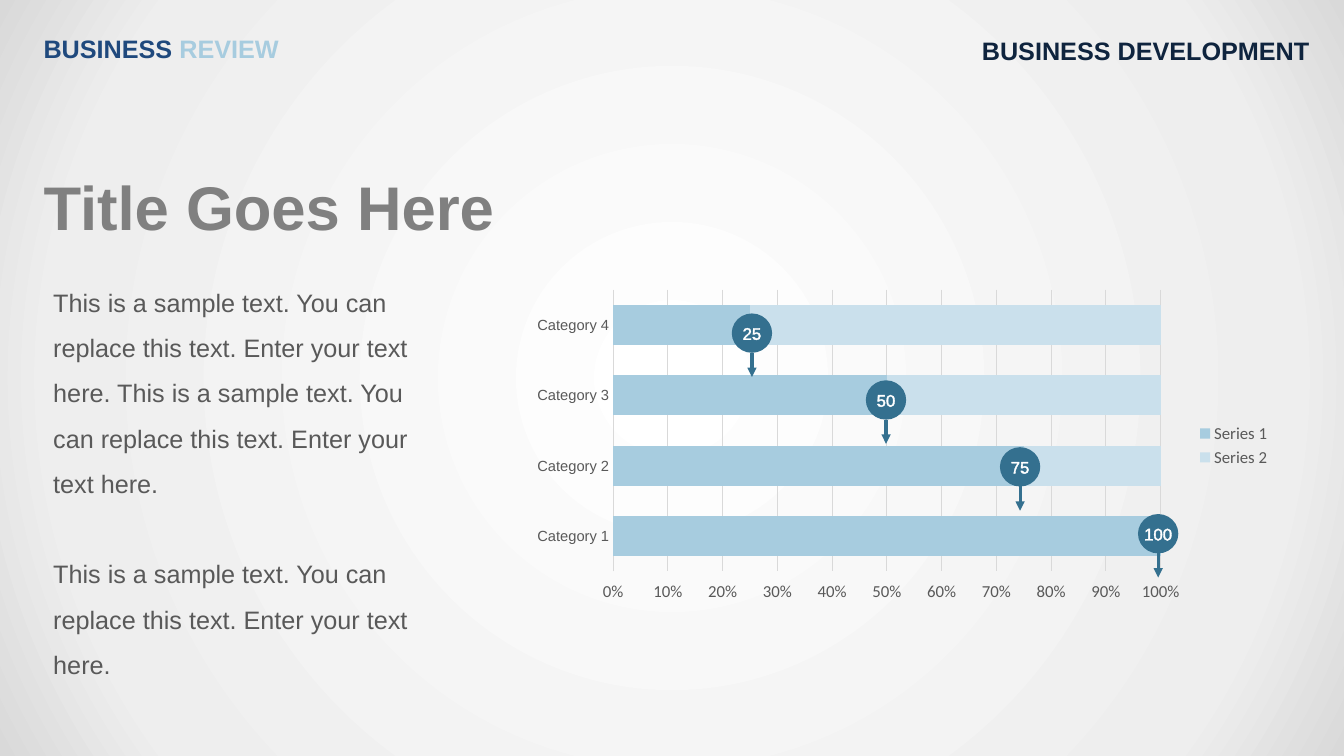
from lxml import etree
from pptx import Presentation
from pptx.chart.data import CategoryChartData
from pptx.dml.color import RGBColor
from pptx.enum.chart import XL_CHART_TYPE, XL_LEGEND_POSITION, XL_TICK_MARK
from pptx.enum.shapes import MSO_CONNECTOR, MSO_SHAPE
from pptx.enum.text import MSO_ANCHOR, PP_ALIGN
from pptx.oxml import parse_xml
from pptx.oxml.ns import qn
from pptx.util import Inches, Pt

BAR_STACKED_100 = XL_CHART_TYPE.BAR_STACKED_100
LEGEND_RIGHT = XL_LEGEND_POSITION.RIGHT
TICK_NONE, TICK_OUTSIDE = XL_TICK_MARK.NONE, XL_TICK_MARK.OUTSIDE
ELLIPSE, STRAIGHT = MSO_SHAPE.OVAL, MSO_CONNECTOR.STRAIGHT
LEFT, CENTER, RIGHT = PP_ALIGN.LEFT, PP_ALIGN.CENTER, PP_ALIGN.RIGHT
TOP, MIDDLE = MSO_ANCHOR.TOP, MSO_ANCHOR.MIDDLE

WIDTH, HEIGHT = Inches(13.33), Inches(7.5)
COLUMNS, ROWS = 160, 90
DRAWING_NS = "http://schemas.openxmlformats.org/drawingml/2006/main"

NAVY, DEEP_NAVY, TEAL = "1F497D", "0F243E", "34708F"
SKY, PALE_SKY, WHITE = "A7CCDF", "CAE0EC", "FFFFFF"
TITLE_GRAY, TEXT_GRAY, GRID_GRAY = "808080", "595959", "D9D9D9"

SAMPLE = "This is a sample text. You can replace this text. Enter your text here."
PROGRESS = [100, 75, 50, 25]
MARKER_CENTERS = [137.88, 121.44, 105.48, 89.52]
MARKER_TOP, MARKER_STEP = 37.32, 7.96
DOT_WIDTH, DOT_HEIGHT, ARROW_LENGTH = 4.8, 4.68, 2.88


def color(hex_value):
    return RGBColor.from_string(hex_value)


def col(count):
    return round(WIDTH * count / COLUMNS)


def row(count):
    return round(HEIGHT * count / ROWS)


def box(left, top, width, height):
    return col(left), row(top), col(width), row(height)


def style_font(font, size, hex_value, name="Arial", bold=False):
    font.name = name
    font.size = Pt(size)
    font.bold = bold
    font.color.rgb = color(hex_value)


def add_run(paragraph, text, size, hex_value, bold=False):
    run = paragraph.add_run()
    run.text = text
    style_font(run.font, size, hex_value, bold=bold)
    return run


def paint_background(slide):
    slide.background.fill.solid()
    stops = "".join(
        f'<a:gs pos="{share * 1000}"><a:srgbClr val="{shade}"/></a:gs>'
        for share, shade in [(0, WHITE), (81, "EEEEEE"), (100, GRID_GRAY)])
    gradient = parse_xml(
        f'<a:gradFill xmlns:a="{DRAWING_NS}" rotWithShape="1">'
        f'<a:gsLst>{stops}</a:gsLst><a:path path="circle">'
        '<a:fillToRect l="50000" t="50000" r="50000" b="50000"/>'
        '</a:path></a:gradFill>')
    solid = next(slide.element.iter(qn("a:solidFill")))
    solid.getparent().replace(solid, gradient)


def add_heading(slide, area, parts, size, align=LEFT):
    frame = slide.shapes.add_textbox(*box(*area)).text_frame
    frame.word_wrap = True
    frame.vertical_anchor = TOP
    paragraph = frame.paragraphs[0]
    paragraph.alignment = align
    for text, hex_value in parts:
        add_run(paragraph, text, size, hex_value, bold=True)


def add_body(slide, area, texts):
    frame = slide.shapes.add_textbox(*box(*area)).text_frame
    frame.word_wrap = True
    frame.vertical_anchor = MIDDLE
    for index, text in enumerate(texts):
        paragraph = frame.add_paragraph() if index else frame.paragraphs[0]
        paragraph.line_spacing = 1.5
        paragraph.space_before = Pt(32 if index else 0)
        add_run(paragraph, text, 18, TEXT_GRAY)


def add_progress_chart(slide, area):
    progress = CategoryChartData(number_format="General")
    progress.categories = [f"Category {n}" for n in range(1, len(PROGRESS) + 1)]
    progress.add_series("Series 1", PROGRESS)
    progress.add_series("Series 2", [100 - value for value in PROGRESS])
    chart = slide.shapes.add_chart(BAR_STACKED_100, *box(*area), progress).chart
    style_font(chart.font, 10, "000000", "Calibri")
    chart.has_title = False
    chart.has_legend = True
    chart.legend.position = LEGEND_RIGHT
    chart.legend.include_in_layout = False
    style_font(chart.legend.font, 12, TEXT_GRAY, "Calibri")

    bars = chart.plots[0]
    bars.gap_width, bars.overlap = 75, 100
    bars.vary_by_categories = False
    for series, hex_value in zip(bars.series, [SKY, PALE_SKY]):
        series.format.fill.solid()
        series.format.fill.fore_color.rgb = color(hex_value)

    categories = chart.category_axis
    categories.major_tick_mark = categories.minor_tick_mark = TICK_NONE
    style_font(categories.tick_labels.font, 10.5, TEXT_GRAY)
    shares = chart.value_axis
    shares.major_tick_mark, shares.minor_tick_mark = TICK_OUTSIDE, TICK_NONE
    shares.major_unit = 0.1
    shares.tick_labels.number_format = "0%"
    shares.tick_labels.number_format_is_linked = False
    style_font(shares.tick_labels.font, 12, TEXT_GRAY, "Calibri")
    shares.format.line.fill.background()
    shares.has_major_gridlines = True
    for line in (categories.format.line, shares.major_gridlines.format.line):
        line.color.rgb = color(GRID_GRAY)
        line.width = Pt(0.75)


def add_dot(marker, center, top, value):
    dot = marker.shapes.add_shape(
        ELLIPSE, *box(center - DOT_WIDTH / 2, top, DOT_WIDTH, DOT_HEIGHT))
    dot.shadow.inherit = False
    dot.fill.solid()
    dot.fill.fore_color.rgb = color(TEAL)
    dot.line.fill.background()
    frame = dot.text_frame
    frame.word_wrap = False
    frame.vertical_anchor = MIDDLE
    frame.margin_left = frame.margin_right = 0
    frame.margin_top = frame.margin_bottom = 0
    paragraph = frame.paragraphs[0]
    paragraph.alignment = CENTER
    run = add_run(paragraph, str(value), 12, WHITE)
    run.font._element.insert(0, parse_xml(
        f'<a:ln xmlns:a="{DRAWING_NS}" w="{Pt(0.25)}"><a:solidFill>'
        f'<a:srgbClr val="{WHITE}"/></a:solidFill></a:ln>'))


def add_arrow(marker, center, top):
    arrow = marker.shapes.add_connector(
        STRAIGHT, col(center), row(top), col(center), row(top + ARROW_LENGTH))
    arrow.line.color.rgb = color(TEAL)
    arrow.line.width = Pt(2.25)
    properties = arrow._element.spPr
    etree.SubElement(properties.find(qn("a:ln")), qn("a:tailEnd"), type="triangle")
    etree.SubElement(properties, qn("a:effectLst"))


def add_marker(slide, center, top, value):
    marker = slide.shapes.add_group_shape()
    add_dot(marker, center, top, value)
    add_arrow(marker, center, top + DOT_HEIGHT)


def main():
    deck = Presentation()
    deck.slide_width, deck.slide_height = WIDTH, HEIGHT
    slide = deck.slides.add_slide(deck.slide_layouts[6])
    paint_background(slide)
    add_progress_chart(slide, (62.16, 33.72, 90.36, 38.64))
    markers = zip(reversed(MARKER_CENTERS), reversed(PROGRESS))
    for index, (center, value) in enumerate(markers):
        add_marker(slide, center, MARKER_TOP + index * MARKER_STEP, value)
    add_heading(slide, (4, 19.56, 63.48, 10.08),
                [("Title Goes Here", TITLE_GRAY)], 44)
    add_body(slide, (5.16, 30.48, 49.44, 52.32), [f"{SAMPLE} {SAMPLE}", SAMPLE])
    add_heading(slide, (4, 3.36, 42.48, 4.8),
                [("BUSINESS ", NAVY), ("REVIEW", SKY)], 18)
    add_heading(slide, (114.6, 3.6, 42.48, 4.8),
                [("BUSINESS DEVELOPMENT", DEEP_NAVY)], 18, RIGHT)
    deck.save("out.pptx")


if __name__ == "__main__":
    main()
